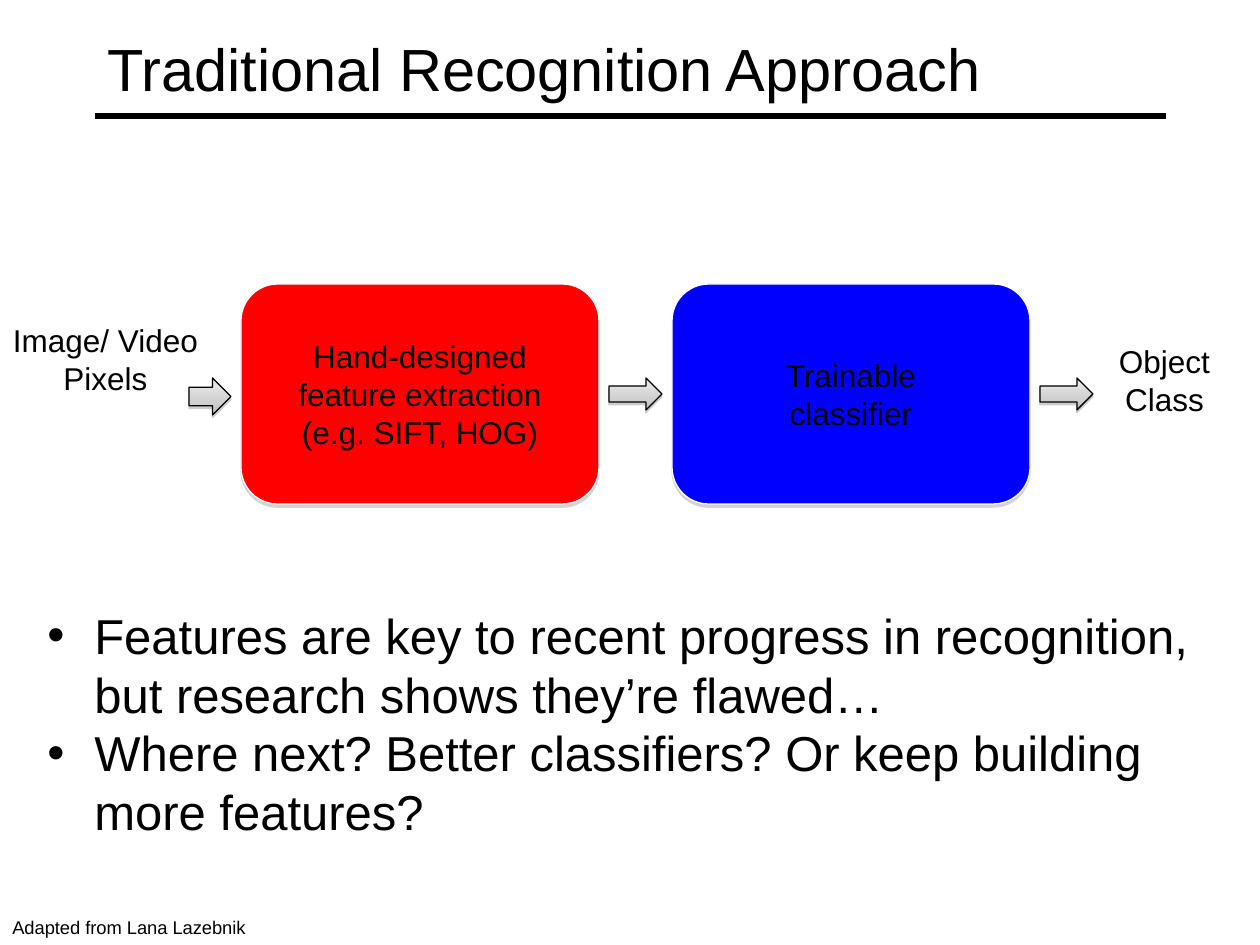
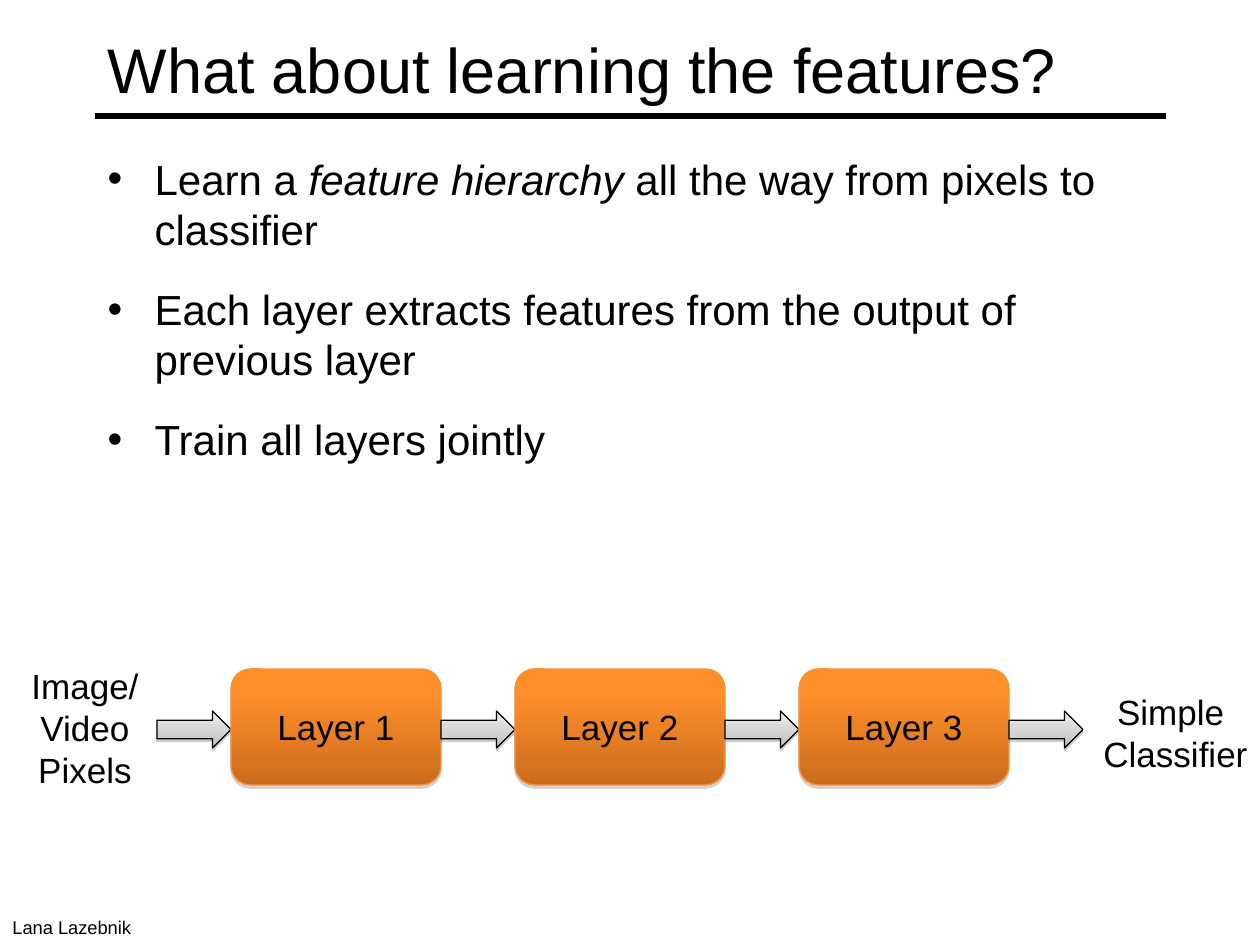
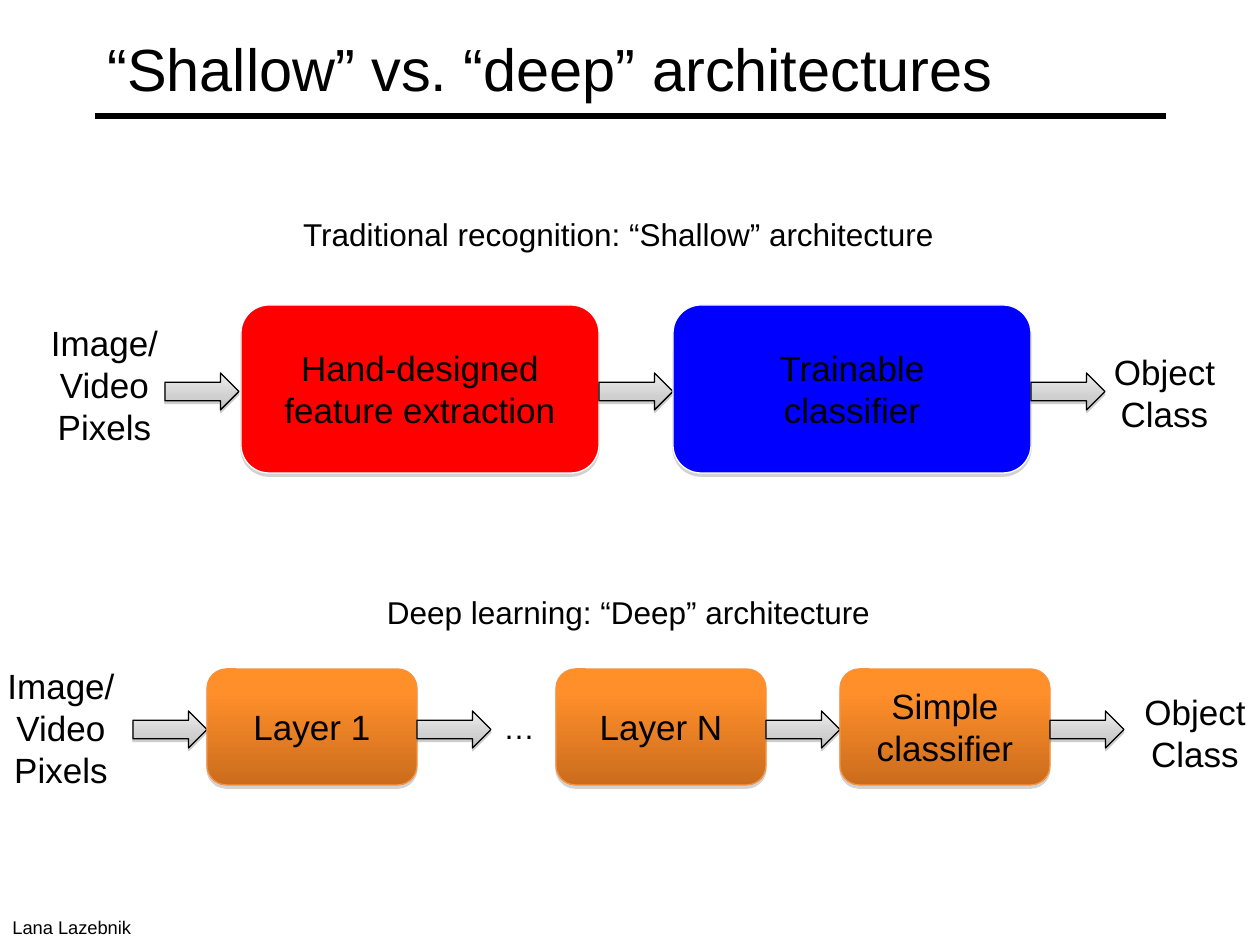
from lxml.etree import SubElement
from pptx import Presentation
from pptx.dml.color import RGBColor
from pptx.enum.shapes import MSO_CONNECTOR, MSO_SHAPE
from pptx.enum.text import MSO_ANCHOR, MSO_AUTO_SIZE, PP_ALIGN
from pptx.oxml.ns import qn
from pptx.util import Emu, Pt

# Shared look
FONT = "Arial"
BLACK = RGBColor(0x00, 0x00, 0x00)
WHITE = RGBColor(0xFF, 0xFF, 0xFF)
RED = RGBColor(0xFF, 0x00, 0x00)
BLUE = RGBColor(0x00, 0x00, 0xFF)
EDGE = RGBColor(0xF6, 0x92, 0x40)
SHADE = RGBColor(0x80, 0x80, 0x80)
ORANGE = [(0, RGBColor(0xFF, 0x8F, 0x26)), (20, RGBColor(0xFF, 0x8F, 0x2A)),
          (100, RGBColor(0xCB, 0x6C, 0x1D))]
GRAY = [(0, RGBColor(0xED, 0xED, 0xED)), (65, RGBColor(0xD0, 0xD0, 0xD0)),
        (100, RGBColor(0xBC, 0xBC, 0xBC))]
TITLE = (95, 10, 1071, 116)
RULE = (95, 116, 1166, 116)
CREDIT_TOP, CREDIT_TALL = 910, 35
HANG = 47
LEFT, MID = PP_ALIGN.LEFT, PP_ALIGN.CENTER

# Parts of a chain, placed from left to right
SHORT, SMALL, LONG = ("arrow", 42, 37), ("arrow", 53, 32), ("arrow", 74, 37)


def gap(wide):
    return ("gap", wide, None)


def big(text, fill):
    return ("box", 358, (text, fill, WHITE))


def layer(text):
    return ("box", 210, (text, ORANGE, EDGE))


# Content: labels are (place, paragraphs, size, align, wrap)
INPUT = ["Image/ Video", "Pixels"]
OUTPUT = ["Object\nClass"]
SLIDES = [
    dict(
        title="Traditional Recognition Approach", size=34,
        credit=("Adapted from Lana Lazebnik", 263),
        chains=[dict(left=189, top=284, tall=220, tip=378, size=18, parts=[
            SHORT, gap(10),
            big("Hand-designed\nfeature extraction (e.g. SIFT, HOG)", RED),
            gap(10), SMALL, gap(10), big("Trainable\nclassifier", BLUE),
            gap(10), SMALL])],
        labels=[((-19, 315, 249, 165), INPUT, 18, MID, True),
                ((1091, 336, 147, 115), OUTPUT, 18, MID, False)],
        points=dict(place=(35, 599, 1203, 231), size=28, before=0, after=0, items=[
            [("Features are key to recent progress in recognition, "
              "but research shows they’re flawed…", False)],
            [("Where next? Better classifiers? Or keep building more features?",
              False)]]),
    ),
    dict(
        title="What about learning the features?", size=36, body=True,
        credit=("Lana Lazebnik", 146),
        chains=[dict(left=157, top=669, tall=116, tip=711, size=20, parts=[
            LONG, layer("Layer 1"), LONG, layer("Layer 2"), LONG,
            layer("Layer 3"), LONG])],
        labels=[((1090, 684, 171, 97), ["Simple \nClassifier"], 20, MID, False),
                ((-8, 658, 186, 140), INPUT, 20, MID, True)],
        points=dict(place=(95, 147, 1071, 703), size=24, before=4.8, after=12, items=[
            [("Learn a ", False), ("feature hierarchy", True),
             (" all the way from pixels to classifier", False)],
            [("Each layer extracts features from the output of previous layer",
              False)],
            [("Train all layers jointly", False)]]),
    ),
    dict(
        title="“Shallow” vs. “deep” architectures", size=34,
        credit=("Lana Lazebnik", 146),
        chains=[
            dict(left=165, top=305, tall=168, tip=373, size=20, parts=[
                LONG, gap(2), big("Hand-designed\nfeature extraction", RED),
                LONG, big("Trainable\nclassifier", BLUE), LONG]),
            dict(left=133, top=669, tall=116, tip=711, size=20, parts=[
                LONG, layer("Layer 1"), LONG, gap(65), layer("Layer N"), LONG,
                layer("Simple classifier"), LONG])],
        labels=[
            ((10, 315, 189, 140), INPUT, 20, MID, True),
            ((1101, 344, 127, 97), OUTPUT, 20, MID, False),
            ((1109, 684, 172, 97), ["Object Class"], 20, MID, True),
            ((-32, 658, 186, 140), INPUT, 20, MID, True),
            ((287, 209, 663, 50), ["Traditional recognition: “Shallow” architecture"],
             18, MID, False),
            ((372, 587, 513, 50), ["Deep learning: “Deep” architecture"],
             18, MID, False),
            ((491, 702, 68, 63), ["…"], 18, LEFT, False)],
    ),
]


def px(n):
    return Emu(round(n * 914400 / 126))


def place(shape, spot):
    shape.left, shape.top, shape.width, shape.height = map(px, spot)


# Text
def add_run(para, text, size, slant=False):
    for i, part in enumerate(text.split("\n")):
        if i:
            para.add_line_break()
        run = para.add_run()
        run.text = part
        font = run.font
        font.name, font.size, font.italic = FONT, Pt(size), slant
        font.color.rgb = BLACK


def fill_text(frame, paras, size, align):
    for i, text in enumerate(paras):
        para = frame.add_paragraph() if i else frame.paragraphs[0]
        para.alignment = align
        add_run(para, text, size)


def add_label(slide, spot, paras, size, align, wrap):
    frame = slide.shapes.add_textbox(*map(px, spot)).text_frame
    frame.word_wrap = wrap
    frame.auto_size = MSO_AUTO_SIZE.SHAPE_TO_FIT_TEXT
    fill_text(frame, paras, size, align)


def add_points(shape, points):
    place(shape, points["place"])
    frame = shape.text_frame
    frame.word_wrap, frame.auto_size = True, MSO_AUTO_SIZE.NONE
    for i, runs in enumerate(points["items"]):
        para = frame.add_paragraph() if i else frame.paragraphs[0]
        props = para._p.get_or_add_pPr()
        props.set("marL", str(px(HANG)))
        props.set("indent", str(-px(HANG)))
        SubElement(props, qn("a:buFont"), typeface=FONT)
        SubElement(props, qn("a:buChar"), char="•")
        para.space_before = Pt(points["before"] if i else 0)
        para.space_after = Pt(points["after"])
        for text, slant in runs:
            add_run(para, text, points["size"], slant)


# Shapes
def add_color(parent, color):
    return SubElement(parent, qn("a:srgbClr"), val=str(color))


def paint(shape, fill, line):
    if isinstance(fill, RGBColor):
        shape.fill.solid()
        shape.fill.fore_color.rgb = fill
    else:
        shape.fill.gradient()
        shape.fill.gradient_angle = 270
        stops = shape._element.spPr.find(qn("a:gradFill")).find(qn("a:gsLst"))
        for stop in list(stops):
            stops.remove(stop)
        for pos, color in fill:
            add_color(SubElement(stops, qn("a:gs"), pos=str(pos * 1000)), color)
    shape.line.color.rgb = line
    shape.line.width = Pt(0.75)


def cast(shape, alpha, dist):
    shape.shadow.inherit = False
    glow = shape._element.spPr.find(qn("a:effectLst"))
    drop = SubElement(glow, qn("a:outerShdw"), blurRad="0", dist=str(Pt(dist)),
                      dir="5400000", rotWithShape="0")
    SubElement(add_color(drop, SHADE), qn("a:alpha"), val=str(alpha * 1000))


def add_chain(slide, chain):
    x = chain["left"]
    for kind, wide, more in chain["parts"]:
        if kind == "arrow":
            spot = (x, chain["tip"], wide, more)
            shape = slide.shapes.add_shape(MSO_SHAPE.RIGHT_ARROW, *map(px, spot))
            paint(shape, GRAY, BLACK)
            cast(shape, 38, 1.6)
        elif kind == "box":
            text, fill, line = more
            spot = (x, chain["top"], wide, chain["tall"])
            shape = slide.shapes.add_shape(MSO_SHAPE.ROUNDED_RECTANGLE, *map(px, spot))
            paint(shape, fill, line)
            cast(shape, 35, 1.8)
            shape.text_frame.word_wrap = True
            shape.text_frame.vertical_anchor = MSO_ANCHOR.MIDDLE
            fill_text(shape.text_frame, [text], chain["size"], MID)
        x += wide


# Title, rule and credit
def add_frame(slide, data):
    rule = slide.shapes.add_connector(MSO_CONNECTOR.STRAIGHT, *map(px, RULE))
    rule.line.color.rgb, rule.line.width = BLACK, Pt(3)
    SubElement(rule._element.spPr, qn("a:effectLst"))
    title = slide.shapes.title
    place(title, TITLE)
    frame = title.text_frame
    frame.vertical_anchor, frame.auto_size = MSO_ANCHOR.MIDDLE, MSO_AUTO_SIZE.NONE
    fill_text(frame, [data["title"]], data["size"], LEFT)
    text, wide = data["credit"]
    add_label(slide, (0, CREDIT_TOP, wide, CREDIT_TALL), [text], 10.5, LEFT, False)


def main():
    deck = Presentation()
    deck.slide_width, deck.slide_height = px(1260), px(945)
    for data in SLIDES:
        body = data.get("body")
        slide = deck.slides.add_slide(deck.slide_layouts[1 if body else 5])
        add_frame(slide, data)
        if "points" in data:
            spot = data["points"]["place"]
            shape = (slide.placeholders[1] if body
                     else slide.shapes.add_textbox(*map(px, spot)))
            add_points(shape, data["points"])
        for chain in data["chains"]:
            add_chain(slide, chain)
        for label in data["labels"]:
            add_label(slide, *label)
    deck.save("out.pptx")


if __name__ == "__main__":
    main()
